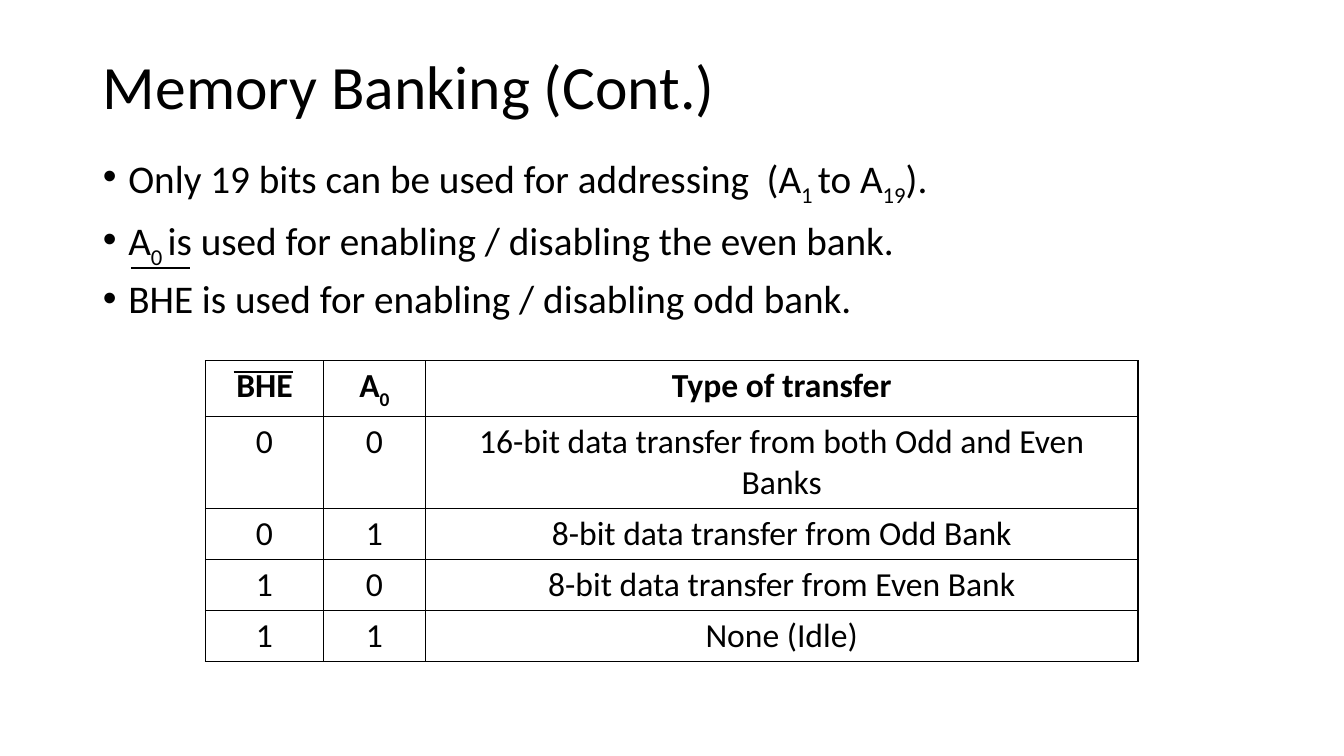
from lxml import etree
from pptx import Presentation
from pptx import util as u
from pptx.dml.color import RGBColor
from pptx.enum import shapes, text
from pptx.oxml.ns import qn

COLORS = {"ink": "000000"}
FONT = "Calibri"

TITLE = "Memory Banking (Cont.)"
BULLETS = [
    ("Only 19 bits can be used for addressing  (A", "1 ", "to A", "19", ")."),
    ("A", "0 ", "is used for enabling / disabling the even bank."),
    ("BHE is used for enabling / disabling odd bank.",),
]
TRANSFERS = [
    [("BHE",), ("A", "0"), ("Type of transfer",)],
    [("0",), ("0",), ("16-bit data transfer from both Odd and Even Banks",)],
    [("0",), ("1",), ("8-bit data transfer from Odd Bank",)],
    [("1",), ("0",), ("8-bit data transfer from Even Bank",)],
    [("1",), ("1",), ("None (Idle)",)],
]

TITLE_BOX = (2.34, 1.02, 29.21, 2.46)
BODY_BOX = (2.34, 3.78, 29.21, 13.39)
TABLE_ORIGIN = (5.18, 9.09)
COLUMN_WIDTHS = (2.97, 2.57, 17.96)
ROW_HEIGHT = 1.04
OVERBARS = [(3.3, 6.76), (5.89, 9.37)]
OVERBAR_LENGTH = 1.5
BULLET_INDENT = u.Cm(0.64)


def ink():
    return RGBColor.from_string(COLORS["ink"])


def apply(target, values):
    for name, value in values.items():
        setattr(target, name, value)


def place(shape, box):
    names = ("left", "top", "width", "height")
    apply(shape, dict(zip(names, map(u.Cm, box))))


def write(paragraph, pieces, size, bold=False, **layout):
    apply(paragraph, layout)
    for index, piece in enumerate(pieces):
        run = paragraph.add_run()
        run.text = piece
        apply(run.font, {"name": FONT, "size": u.Pt(size), "bold": bold})
        run.font.color.rgb = ink()
        if index % 2:
            run.font._element.set("baseline", "-25000")


def add_bullet(paragraph):
    properties = paragraph._p.get_or_add_pPr()
    properties.set("marL", str(BULLET_INDENT))
    properties.set("indent", str(-BULLET_INDENT))
    etree.SubElement(properties, qn("a:buFont")).set("typeface", "Arial")
    etree.SubElement(properties, qn("a:buChar")).set("char", "•")


def add_borders(cell):
    properties = cell._tc.get_or_add_tcPr()
    for side in ("lnL", "lnR", "lnT", "lnB"):
        line = etree.SubElement(properties, qn(f"a:{side}"), w=str(u.Pt(1)))
        fill = etree.SubElement(line, qn("a:solidFill"))
        etree.SubElement(fill, qn("a:srgbClr")).set("val", COLORS["ink"])


def add_title(slide):
    title = slide.shapes.title
    place(title, TITLE_BOX)
    apply(title.text_frame, {"vertical_anchor": text.MSO_ANCHOR.MIDDLE,
                             "auto_size": text.MSO_AUTO_SIZE.NONE})
    write(title.text_frame.paragraphs[0], [TITLE], 44,
          alignment=text.PP_ALIGN.LEFT, line_spacing=0.9)


def add_body(slide):
    body = slide.placeholders[1]
    place(body, BODY_BOX)
    frame = body.text_frame
    frame.auto_size = text.MSO_AUTO_SIZE.NONE
    for index, pieces in enumerate(BULLETS):
        paragraph = frame.add_paragraph() if index else frame.paragraphs[0]
        add_bullet(paragraph)
        write(paragraph, pieces, 28, line_spacing=0.9,
              space_before=u.Pt(10 if index else 0))


def add_transfer_table(slide):
    left, top = map(u.Cm, TABLE_ORIGIN)
    table = slide.shapes.add_table(
        len(TRANSFERS), len(COLUMN_WIDTHS), left, top,
        u.Cm(sum(COLUMN_WIDTHS)), u.Cm(ROW_HEIGHT * len(TRANSFERS))).table
    apply(table, {"first_row": False, "horz_banding": False})
    for column, width in zip(table.columns, COLUMN_WIDTHS):
        column.width = u.Cm(width)
    for row_index, row in enumerate(TRANSFERS):
        table.rows[row_index].height = u.Cm(ROW_HEIGHT)
        for column_index, pieces in enumerate(row):
            cell = table.cell(row_index, column_index)
            add_borders(cell)
            cell.fill.background()
            write(cell.text_frame.paragraphs[0], pieces, 24,
                  bold=row_index == 0, alignment=text.PP_ALIGN.CENTER)


def add_overbar(slide, left, top):
    overbar = slide.shapes.add_connector(
        shapes.MSO_CONNECTOR.STRAIGHT, u.Cm(left), u.Cm(top),
        u.Cm(left + OVERBAR_LENGTH), u.Cm(top))
    overbar.line.color.rgb = ink()
    overbar.line.width = u.Pt(1.5)
    etree.SubElement(overbar._element.spPr, qn("a:effectLst"))


def main():
    presentation = Presentation()
    apply(presentation, {"slide_width": u.Cm(33.87), "slide_height": u.Cm(19.05)})
    slide = presentation.slides.add_slide(presentation.slide_layouts[1])
    add_title(slide)
    add_body(slide)
    add_transfer_table(slide)
    for left, top in OVERBARS:
        add_overbar(slide, left, top)
    presentation.save("out.pptx")


if __name__ == "__main__":
    main()
